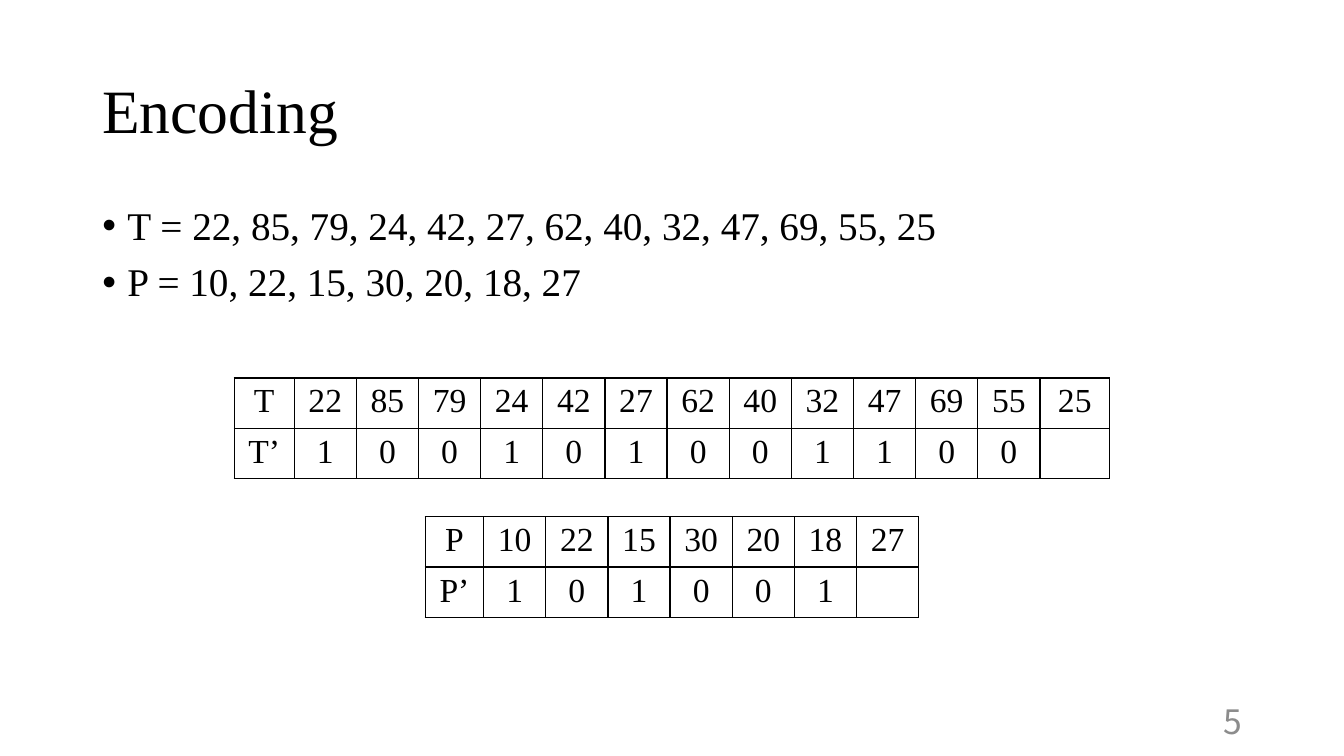
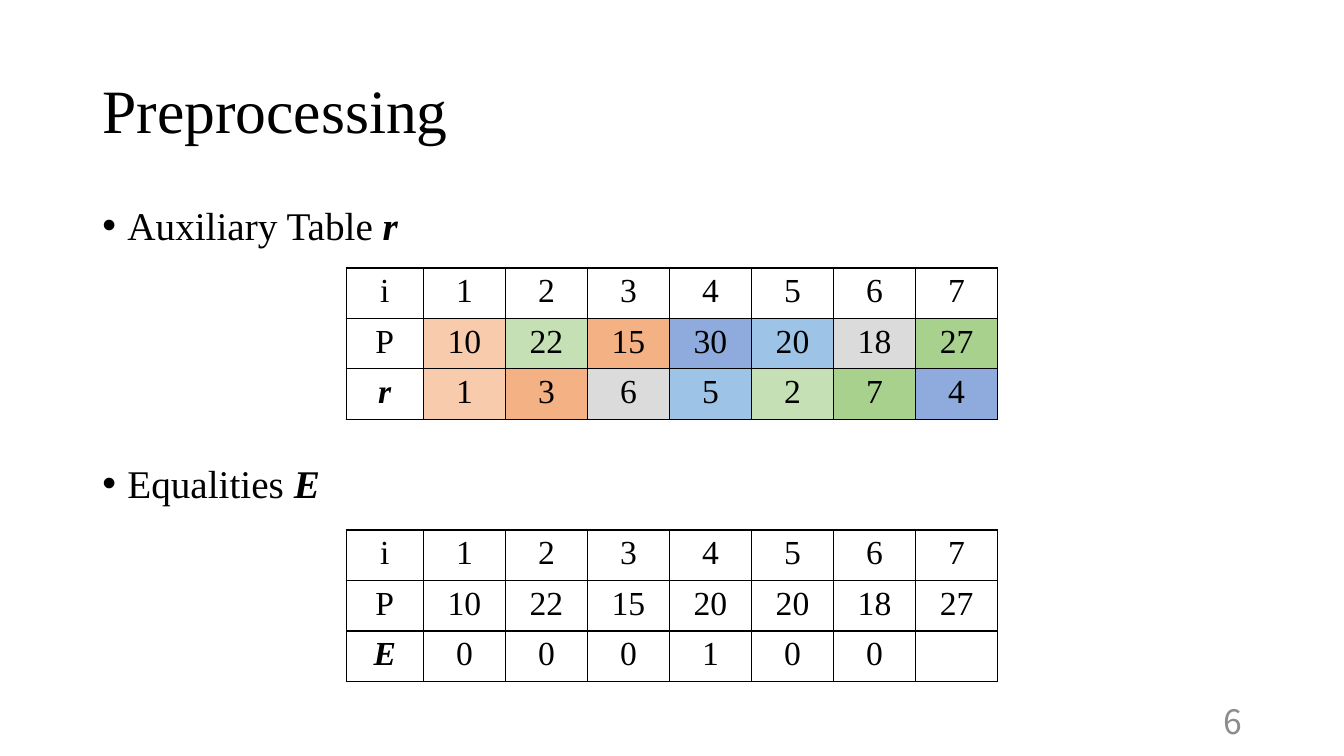
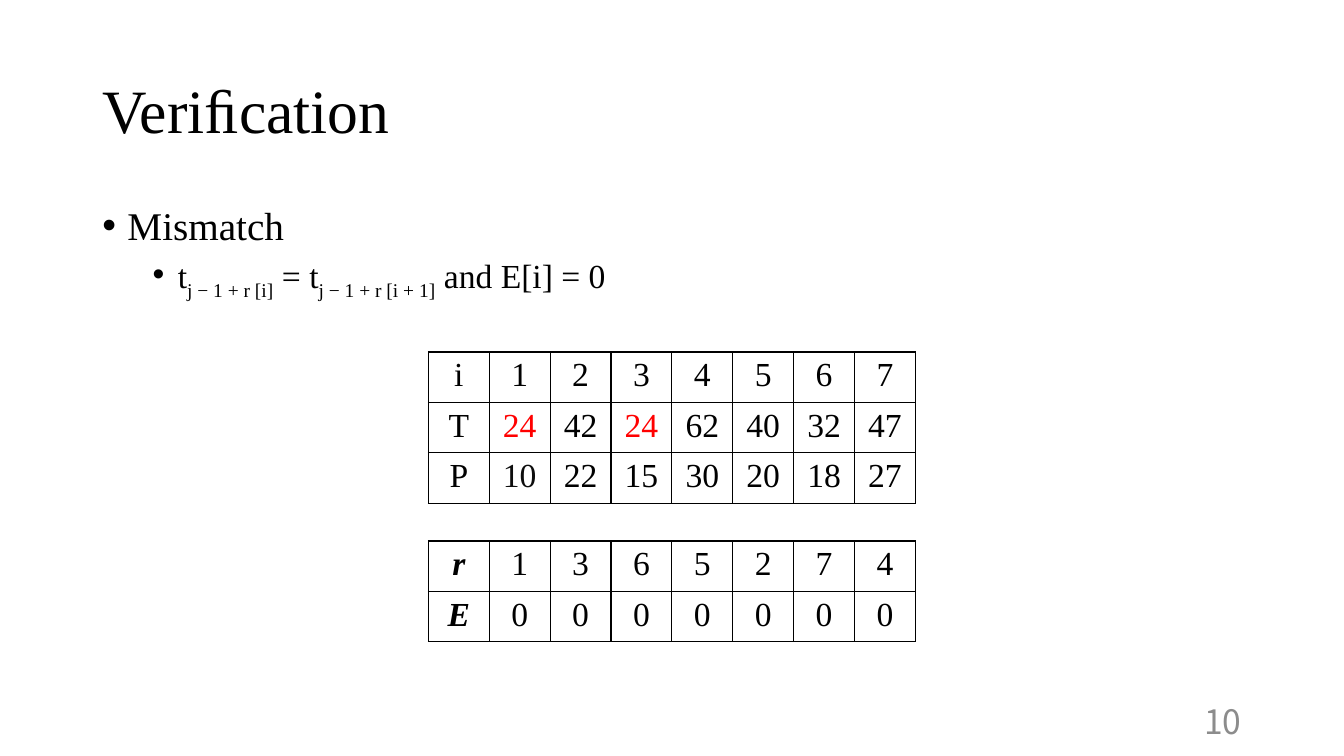
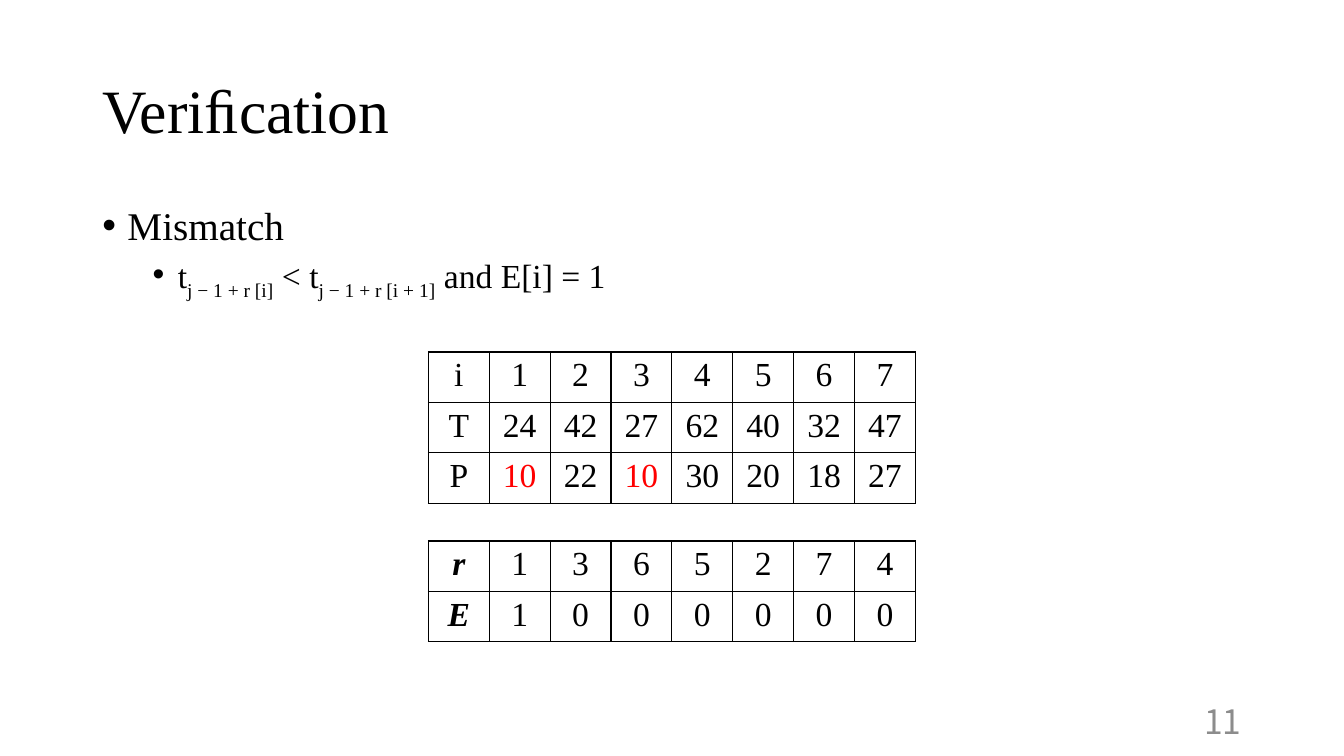
"""Build four slides on encoding, preprocessing and verification."""
import lxml.etree
import pptx
import pptx.dml.color
import pptx.enum.text
import pptx.oxml.ns
import pptx.util

qn = pptx.oxml.ns.qn
Pt = pptx.util.Pt
RGB = pptx.dml.color.RGBColor.from_string
ALIGN = pptx.enum.text.PP_ALIGN
ANCHOR = pptx.enum.text.MSO_ANCHOR


class Theme:
    unit = pptx.util.Inches(1) // 12
    wide, high = 160, 90
    row = 5.64
    ink, red, gray, near = "000000", "FF0000", "8C8C8C", "0D0D0D"
    hues = ["F8CBAD", "C5E0B4", "F4B183", "8FAADC", "9DC3E6", "DBDBDB", "A9D18E"]
    serif, sans = "Times New Roman", "Noto Sans CJK JP"
    fonts = {
        "title": {"name": serif, "size": Pt(44)},
        "lead": {"name": serif, "size": Pt(28)},
        "sub": {"name": serif, "size": Pt(24)},
        "cell": {"name": serif, "size": Pt(24)},
        "page": {"name": sans, "size": Pt(24)},
    }
    strong = {"bold": True, "italic": True}
    levels = {"lead": (0, 3, 10), "sub": (1, 9, 5)}
    hang = -3
    places = {
        "title": (11, 4.8, 138, 17.4),
        "body": (11, 24, 138, 57.1),
        "page": (113, 83.4, 36, 4.8),
    }


class Deck:
    def __init__(self, theme):
        self.theme = theme
        self.show = pptx.Presentation()
        self.show.slide_width = self.span(theme.wide)
        self.show.slide_height = self.span(theme.high)
        self.slide = None

    def span(self, count):
        return pptx.util.Emu(round(count * self.theme.unit))

    def frame(self, place, anchor):
        box = self.slide.shapes.add_textbox(*map(self.span, self.theme.places[place]))
        box.text_frame.word_wrap = True
        box.text_frame.vertical_anchor = anchor
        return box.text_frame

    def label(self, para, text, kind, color=None, **extra):
        run = para.add_run()
        run.text = text
        for key, value in {**self.theme.fonts[kind], **extra}.items():
            setattr(run.font, key, value)
        run.font.color.rgb = RGB(color or self.theme.ink)
        return run

    def start(self, title, page):
        self.slide = self.show.slides.add_slide(self.show.slide_layouts[6])
        para = self.frame("title", ANCHOR.MIDDLE).paragraphs[0]
        para.line_spacing = 0.9
        self.label(para, title, "title")
        para = self.frame("page", ANCHOR.MIDDLE).paragraphs[0]
        para.alignment = ALIGN.RIGHT
        self.label(para, str(page), "page", self.theme.gray)

    def body(self, *items, gap=None):
        frame = self.frame("body", ANCHOR.TOP)
        for index, (kind, runs) in enumerate(items):
            para = frame.add_paragraph() if index else frame.paragraphs[0]
            level, inset, before = self.theme.levels[kind]
            para.level = level
            props = para._p.get_or_add_pPr()
            props.set("marL", str(self.span(inset)))
            props.set("indent", str(self.span(self.theme.hang)))
            lxml.etree.SubElement(props, qn("a:buFont"), typeface="Arial")
            lxml.etree.SubElement(props, qn("a:buChar"), char="•")
            para.line_spacing = 0.9
            if index:
                para.space_before = Pt(gap or before)
            for text, mark in runs:
                extra = self.theme.strong if mark == "strong" else {}
                run = self.label(para, text, kind, **extra)
                if mark == "low":
                    run._r.get_or_add_rPr().set("baseline", "-25000")

    def edge(self, cell):
        props = cell._tc.get_or_add_tcPr()
        for side in "LRTB":
            line = lxml.etree.SubElement(props, qn("a:ln" + side), w=str(Pt(1)))
            fill = lxml.etree.SubElement(line, qn("a:solidFill"))
            lxml.etree.SubElement(fill, qn("a:srgbClr"), val=self.theme.ink)

    def table(self, top, widths, lines, tints=None, marks=None):
        tints, marks = tints or {}, marks or {}
        rows = [line.split() for line in lines]
        total, height = sum(widths), self.theme.row
        left = (self.theme.wide - total) / 2
        area = map(self.span, (left, top, total, height * len(rows)))
        grid = self.slide.shapes.add_table(len(rows), len(widths), *area).table
        grid.first_row = grid.horz_banding = False
        for column, width in zip(grid.columns, widths):
            column.width = self.span(width)
        for y, words in enumerate(rows):
            grid.rows[y].height = self.span(height)
            for x in range(len(widths)):
                cell = grid.cell(y, x)
                self.edge(cell)
                if (y, x) in tints:
                    cell.fill.solid()
                    cell.fill.fore_color.rgb = RGB(tints[y, x])
                else:
                    cell.fill.background()
                if x < len(words):
                    para = cell.text_frame.paragraphs[0]
                    para.alignment = ALIGN.CENTER
                    extra = self.theme.strong if words[x] in ("r", "E") else {}
                    self.label(para, words[x], "cell", marks.get((y, x)), **extra)


def verify(deck, page, sign, flag, lines, marks):
    deck.start("Veriﬁcation", page)
    rule = [("t", ""), ("j − 1 + r [i]", "low"), (f" {sign} t", ""),
            ("j − 1 + r [i + 1]", "low"), (f" and E[i] = {flag}", "")]
    deck.body(("lead", [("Mismatch", "")]), ("sub", rule))
    widths = [7.25] * 8
    deck.table(41.9, widths, ["i 1 2 3 4 5 6 7", *lines], marks=marks)
    deck.table(64.4, widths, ["r 1 3 6 5 2 7 4", f"E {flag} 0 0 0 0 0 0"])


def main():
    theme = Theme()
    deck = Deck(theme)

    deck.start("Encoding", 5)
    deck.body(
        ("lead", [("T = 22, 85, 79, 24, 42, 27, 62, 40, 32, 47, 69, 55, 25", "")]),
        ("lead", [("P = 10, 22, 15, 30, 20, 18, 27", "")]),
    )
    deck.table(45, [7.15] + [7.4] * 12 + [8.3], [
        "T 22 85 79 24 42 27 62 40 32 47 69 55 25",
        "T’ 1 0 0 1 0 1 0 0 1 1 0 0",
    ])
    deck.table(61.5, [6.95] + [7.4] * 7, ["P 10 22 15 30 20 18 27", "P’ 1 0 1 0 0 1"])

    deck.start("Preprocessing", 6)
    deck.body(
        ("lead", [("Auxiliary Table ", ""), ("r", "strong")]),
        ("lead", [("Equalities", ""), (" E", "strong")]),
        gap=154,
    )
    widths = [9.2] + [9.77] * 7
    order = "1 3 6 5 2 7 4"
    tints = {(1, x): hue for x, hue in enumerate(theme.hues, 1)}
    for x, rank in enumerate(order.split(), 1):
        tints[2, x] = theme.hues[int(rank) - 1]
    head = "i 1 2 3 4 5 6 7"
    deck.table(31.9, widths, [head, "P 10 22 15 30 20 18 27", "r " + order], tints)
    deck.table(63.1, widths, [head, "P 10 22 15 20 20 18 27", "E 0 0 0 1 0 0"])

    verify(deck, 10, "=", 0, ["T 24 42 24 62 40 32 47", "P 10 22 15 30 20 18 27"],
           {(1, 1): theme.red, (1, 3): theme.red, (2, 1): theme.near})
    verify(deck, 11, "<", 1, ["T 24 42 27 62 40 32 47", "P 10 22 10 30 20 18 27"],
           {(2, 1): theme.red, (2, 3): theme.red})

    deck.show.save("out.pptx")


if __name__ == "__main__":
    main()
